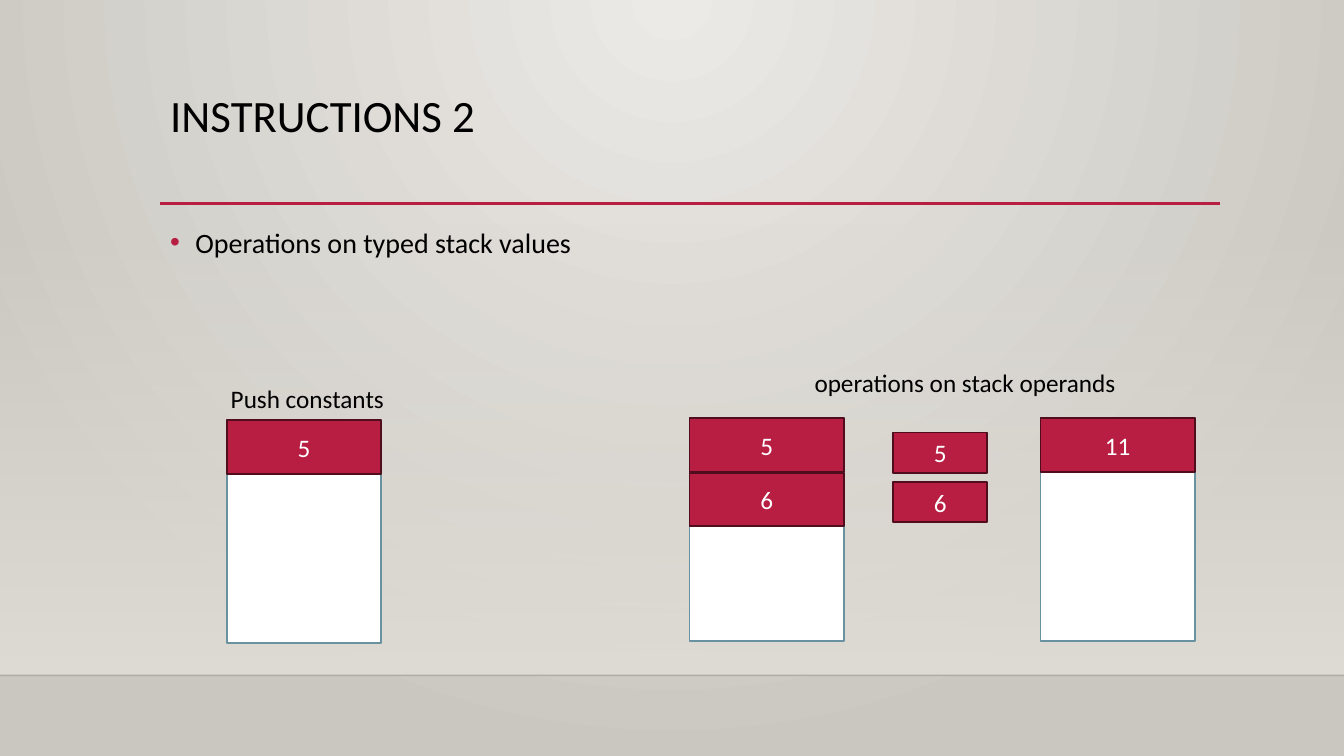
from dataclasses import dataclass
from typing import Any

from lxml import etree
from pptx import Presentation
from pptx.dml.color import RGBColor
from pptx.enum.shapes import MSO_CONNECTOR, MSO_SHAPE
from pptx.enum.text import MSO_ANCHOR, PP_ALIGN
from pptx.oxml import parse_xml
from pptx.oxml.ns import nsdecls, qn
from pptx.util import Inches, Pt

STRAIGHT = MSO_CONNECTOR.STRAIGHT
RECTANGLE = MSO_SHAPE.RECTANGLE
TOP, MIDDLE = MSO_ANCHOR.TOP, MSO_ANCHOR.MIDDLE
LEFT, CENTER = PP_ALIGN.LEFT, PP_ALIGN.CENTER


@dataclass(frozen=True)
class Theme:
    font: str = "Calibri"
    accent: str = "B71E42"
    accent_edge: str = "500D1D"
    stack_edge: str = "6892A0"
    white: str = "FFFFFF"
    ink: str = "000000"
    horizon: str = "000001"
    wall: str = "DFDBD5"
    glow: str = "ECEAE7"
    shade: str = "CAC7C1"
    title_size: float = 32
    body_size: float = 20
    label_size: float = 18
    edge_width: float = 1.25


@dataclass(frozen=True)
class Label:
    text: str
    left: float
    top: float
    width: float
    height: float
    size: float
    wrap: bool = True
    spacing: float = 1.0
    bullet: bool = False


@dataclass(frozen=True)
class Stack:
    left: float
    top: float
    values: tuple[str, ...]


@dataclass(frozen=True)
class Rule:
    left: float
    right: float
    top: float
    color: str
    width: float
    opacity: int = 100


THEME = Theme()
STACK_WIDTH, STACK_HEIGHT = 1.53, 2.21
CELL_HEIGHT, CELL_STEP = 0.53, 0.54
OPERAND_LEFT, OPERAND_TOP, OPERAND_STEP = 8.86, 4.29, 0.49
OPERAND_WIDTH, OPERAND_HEIGHT = 0.93, 0.4

LABELS = (
    Label("INSTRUCTIONS 2", 1.59, 0.88, 10.5, 1.15, THEME.title_size, spacing=0.9),
    Label("Operations on typed stack values", 1.59, 2.12, 10.5, 1.55,
          THEME.body_size, spacing=1.2, bullet=True),
    Label("Push constants", 2.19, 3.75, 1.89, 0.4, THEME.label_size),
    Label("operations on stack operands", 7.98, 3.59, 3.28, 0.4,
          THEME.label_size, wrap=False),
)
STACKS = (
    Stack(2.25, 4.17, ("5",)),
    Stack(6.84, 4.15, ("5", "6")),
    Stack(10.32, 4.15, ("11",)),
)
OPERANDS = ("5", "6")
RULES = (
    Rule(0, 13.33, 6.7, THEME.horizon, 1, 20),
    Rule(1.59, 12.1, 2.02, THEME.accent, 2.5),
)


def apply_format(target: Any, values: dict[str, Any]) -> None:
    for name, value in values.items():
        setattr(target, name, value)


def gradient(first: str, first_opacity: int, last: str, direction: str) -> Any:
    return parse_xml(
        f'<a:gradFill {nsdecls("a")} rotWithShape="1"><a:gsLst>'
        f'<a:gs pos="0"><a:srgbClr val="{first}">'
        f'<a:alpha val="{first_opacity * 1000}"/></a:srgbClr></a:gs>'
        f'<a:gs pos="100000"><a:srgbClr val="{last}"/></a:gs>'
        f'</a:gsLst>{direction}</a:gradFill>'
    )


def replace_solid(properties: Any, fill: Any) -> None:
    properties.replace(properties.find(qn("a:solidFill")), fill)


def write_text(box: Any, text: str, size: float, color: str, align: Any,
               anchor: Any, wrap: bool = True, spacing: float = 1.0,
               bullet: bool = False) -> None:
    frame = box.text_frame
    apply_format(frame, {"word_wrap": wrap, "vertical_anchor": anchor})
    para = frame.paragraphs[0]
    if bullet:
        properties = para._p.get_or_add_pPr()
        properties.set("marL", str(Inches(0.25)))
        properties.set("indent", str(Inches(-0.25)))
        tint = etree.SubElement(properties, qn("a:buClr"))
        etree.SubElement(tint, qn("a:srgbClr"), val=THEME.accent)
        etree.SubElement(properties, qn("a:buFont"), typeface="Arial")
        etree.SubElement(properties, qn("a:buChar"), char="•")
    apply_format(para, {"alignment": align, "line_spacing": spacing})
    span = para.add_run()
    span.text = text
    apply_format(span.font, {"name": THEME.font, "size": Pt(size)})
    span.font.color.rgb = RGBColor.from_string(color)


def add_box(page: Any, left: float, top: float, width: float, height: float,
            fill: str, edge: str | None = None) -> Any:
    box = page.shapes.add_shape(
        RECTANGLE, Inches(left), Inches(top), Inches(width), Inches(height))
    box.shadow.inherit = False
    box.fill.solid()
    box.fill.fore_color.rgb = RGBColor.from_string(fill)
    if edge is None:
        box.line.fill.background()
    else:
        box.line.color.rgb = RGBColor.from_string(edge)
        box.line.width = Pt(THEME.edge_width)
    return box


def add_value(page: Any, text: str, left: float, top: float,
              width: float, height: float) -> None:
    box = add_box(page, left, top, width, height, THEME.accent, THEME.accent_edge)
    write_text(box, text, THEME.label_size, THEME.white, CENTER, MIDDLE)


def add_stack(page: Any, stack: Stack) -> None:
    add_box(page, stack.left, stack.top, STACK_WIDTH, STACK_HEIGHT,
            THEME.white, THEME.stack_edge)
    for row, value in enumerate(stack.values):
        add_value(page, value, stack.left, stack.top + row * CELL_STEP,
                  STACK_WIDTH, CELL_HEIGHT)


def add_label(page: Any, label: Label) -> None:
    box = page.shapes.add_textbox(Inches(label.left), Inches(label.top),
                                  Inches(label.width), Inches(label.height))
    write_text(box, label.text, label.size, THEME.ink, LEFT, TOP,
               label.wrap, label.spacing, label.bullet)


def add_rule(page: Any, rule: Rule) -> None:
    line = page.shapes.add_connector(STRAIGHT, Inches(rule.left), Inches(rule.top),
                                     Inches(rule.right), Inches(rule.top))
    line.line.color.rgb = RGBColor.from_string(rule.color)
    line.line.width = Pt(rule.width)
    properties = line._element.spPr
    if rule.opacity < 100:
        color = properties.find(".//" + qn("a:srgbClr"))
        etree.SubElement(color, qn("a:alpha"), val=str(rule.opacity * 1000))
    etree.SubElement(properties, qn("a:effectLst"))


def add_backdrop(page: Any) -> None:
    page.background.fill.solid()
    radial = ('<a:path path="circle"><a:fillToRect l="43000" t="0" '
              'r="43000" b="100000"/></a:path>')
    replace_solid(page.element.find(".//" + qn("p:bgPr")),
                  gradient(THEME.glow, 100, THEME.shade, radial))
    wall = add_box(page, 0, 2.21, 13.33, 4.49, THEME.wall)
    replace_solid(wall._element.spPr,
                  gradient(THEME.wall, 0, THEME.wall, '<a:lin ang="5400000" scaled="0"/>'))


def main() -> None:
    deck = Presentation()
    apply_format(deck, {"slide_width": Inches(13.33), "slide_height": Inches(7.5)})
    page = deck.slides.add_slide(deck.slide_layouts[6])
    add_backdrop(page)
    for rule in RULES:
        add_rule(page, rule)
    for label in LABELS:
        add_label(page, label)
    for stack in STACKS:
        add_stack(page, stack)
    for row, value in enumerate(OPERANDS):
        add_value(page, value, OPERAND_LEFT, OPERAND_TOP + row * OPERAND_STEP,
                  OPERAND_WIDTH, OPERAND_HEIGHT)
    deck.save("out.pptx")


if __name__ == "__main__":
    main()
